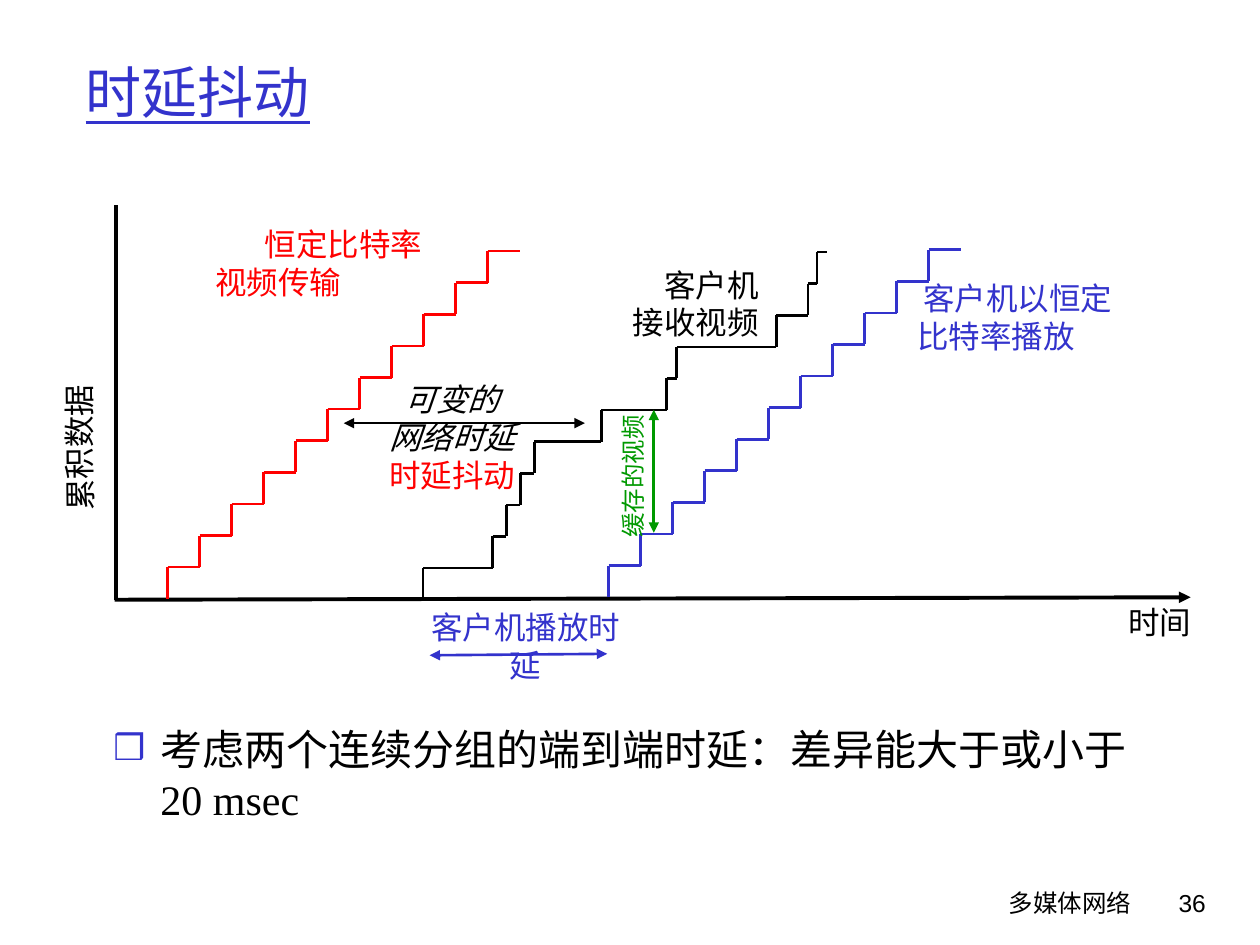
from lxml import etree
from pptx import Presentation
from pptx import util as u
from pptx.dml.color import RGBColor
from pptx.enum import shapes, text
from pptx.oxml import ns

COLORS = {"black": "000000", "red": "FF0000", "blue": "3333CC", "green": "009900"}
LABEL_FONT = "Comic Neue"
BODY_FONT = "Times New Roman"
LEFT, CENTER, RIGHT = text.PP_ALIGN.LEFT, text.PP_ALIGN.CENTER, text.PP_ALIGN.RIGHT
RISE = 0.637
EVEN_TREADS = [0.645] * 11
NETWORK_TREADS = [1.4, 0.28, 0.28, 0.28, 1.35, 1.32, 0.2, 2.01, 0.64, 0.18, 0.2]


def rgb(color):
    return RGBColor.from_string(COLORS[color])


def place(shape, box):
    shape.left, shape.top, shape.width, shape.height = (u.Cm(value) for value in box)


def format_paragraph(paragraph, size, font, color, align=LEFT):
    paragraph.alignment = align
    for run in paragraph.runs:
        run.font.size = u.Pt(size)
        run.font.name = font
        run.font.color.rgb = rgb(color)


def set_indent(paragraph, margin, first_line):
    properties = paragraph._p.get_or_add_pPr()
    properties.set("marL", str(u.Cm(margin)))
    properties.set("indent", str(u.Cm(first_line)))


def add_label(slide, box, content, color="black", size=18, align=LEFT,
              wrap=False, rotation=0, font=LABEL_FONT):
    label = slide.shapes.add_textbox(*(u.Cm(value) for value in box))
    label.rotation = rotation
    label.text_frame.word_wrap = wrap
    label.text_frame.text = content
    for paragraph in label.text_frame.paragraphs:
        format_paragraph(paragraph, size, font, color, align)
    return label.text_frame.paragraphs


def add_line(parent, start, end, color="black", width=1.5, arrows=()):
    line = parent.shapes.add_connector(
        shapes.MSO_CONNECTOR.STRAIGHT, *(u.Cm(value) for value in (*start, *end)))
    line.line.color.rgb = rgb(color)
    line.line.width = u.Pt(width)
    for arrow in arrows:
        etree.SubElement(line.line._ln, ns.qn(f"a:{arrow}"), type="triangle")
    etree.SubElement(line._element.spPr, ns.qn("a:effectLst"))


def add_staircase(slide, x, y, treads, color):
    group = slide.shapes.add_group_shape()
    for tread in treads:
        add_line(group, (x, y), (x, y - RISE), color)
        y -= RISE
        add_line(group, (x, y), (x + tread, y), color)
        x += tread


def add_title(slide, box):
    title = slide.shapes.title
    place(title, box)
    title.text_frame.text = "时延抖动"
    title.text_frame.vertical_anchor = text.MSO_ANCHOR.MIDDLE
    title.text_frame.auto_size = text.MSO_AUTO_SIZE.NONE
    paragraph = title.text_frame.paragraphs[0]
    format_paragraph(paragraph, 32, BODY_FONT, "blue")
    paragraph.runs[0].font.underline = True


def add_body(slide, box):
    body = slide.placeholders[1]
    place(body, box)
    body.text_frame.text = "考虑两个连续分组的端到端时延：差异能大于或小于20 msec"
    body.text_frame.auto_size = text.MSO_AUTO_SIZE.NONE
    paragraph = body.text_frame.paragraphs[0]
    paragraph.space_before = u.Pt(0)
    set_indent(paragraph, 0.95, -0.95)
    properties = paragraph._p.get_or_add_pPr()
    bullet_color = etree.SubElement(properties, ns.qn("a:buClr"))
    etree.SubElement(bullet_color, ns.qn("a:srgbClr"), val=COLORS["blue"])
    etree.SubElement(properties, ns.qn("a:buSzPct"), val="85000")
    etree.SubElement(properties, ns.qn("a:buChar"), char="❒")
    format_paragraph(paragraph, 24, BODY_FONT, "black")


def add_delay_diagram(slide, left, top, width, height):
    def at(x, y):
        return left + x, top + y

    def area(x, y, w, h):
        return *at(x, y), w, h

    both_ends = ("headEnd", "tailEnd")

    # Axes
    add_line(slide, at(0, 0), at(0, height), width=2.25)
    add_line(slide, at(-0.03, height), at(width, height - 0.05), width=2.25,
             arrows=("tailEnd",))
    add_label(slide, area(-3.48, 3.18, 5.44, 1.02), "累积数据", wrap=True, rotation=269.4)
    add_label(slide, area(20.16, 7.9, 1.78, 1.02), "时间")

    # Constant rate sending
    add_staircase(slide, *at(1.04, height - 0.02), EVEN_TREADS, "red")
    sending = add_label(slide, area(1.75, 0.28, 5.08, 1.78), "恒定比特率视频传输",
                        "red", wrap=True)
    set_indent(sending[0], 0, 1)

    # Reception after a variable network delay
    add_staircase(slide, *at(6.19, height), NETWORK_TREADS, "black")
    delay = add_label(slide, area(5.25, 3.4, 3.05, 2.54),
                      "可变的\n网络时延\n时延抖动", align=CENTER)
    for paragraph in delay[:2]:
        paragraph.runs[0].font.italic = True
    delay[2].runs[0].font.color.rgb = rgb("red")
    add_line(slide, at(4.59, 4.39), at(9.45, 4.39), arrows=both_ends)
    add_label(slide, area(10.16, 1.09, 3.05, 1.78), "客户机\n接收视频", align=RIGHT)

    # Constant rate playout
    add_staircase(slide, *at(9.93, height - 0.05), EVEN_TREADS, "blue")
    playout = add_label(slide, area(14.6, 1.37, 5.74, 1.78),
                        "客户机以恒定\n比特率播放", "blue", wrap=True)
    for paragraph, margin in zip(playout, (1.42, 1.3)):
        set_indent(paragraph, margin, 0)
    add_label(slide, area(5.92, 8, 4.67, 1.78), "客户机播放时延", "blue",
              align=CENTER, wrap=True)
    add_line(slide, at(6.32, 9.07), at(9.9, 9.04), "blue", arrows=both_ends)

    # Buffered video
    add_line(slide, at(10.84, 6.6), at(10.84, 4.12), "green", arrows=both_ends)
    add_label(slide, area(8.42, 5.03, 4, 0.86), "缓存的视频", "green", 14,
              CENTER, wrap=True, rotation=270)


def add_footer(slide, left, top, height):
    add_label(slide, (left, top, 10.72, height), "多媒体网络", size=14,
              align=RIGHT, wrap=True)
    add_label(slide, (left + 10.34, top, 1.88, height), "36", size=14,
              align=RIGHT, wrap=True, font="Arial")


def main():
    presentation = Presentation()
    presentation.slide_width, presentation.slide_height = u.Cm(25.4), u.Cm(19.05)
    slide = presentation.slides.add_slide(presentation.slide_layouts[1])
    add_footer(slide, 12.34, 17.78, 1.27)
    add_title(slide, (1.47, 0.64, 22.68, 2.41))
    add_body(slide, (2.03, 14.45, 21.59, 2.46))
    add_delay_diagram(slide, 2.34, 4.14, 21.66, 7.95)
    presentation.save("out.pptx")


if __name__ == "__main__":
    main()
